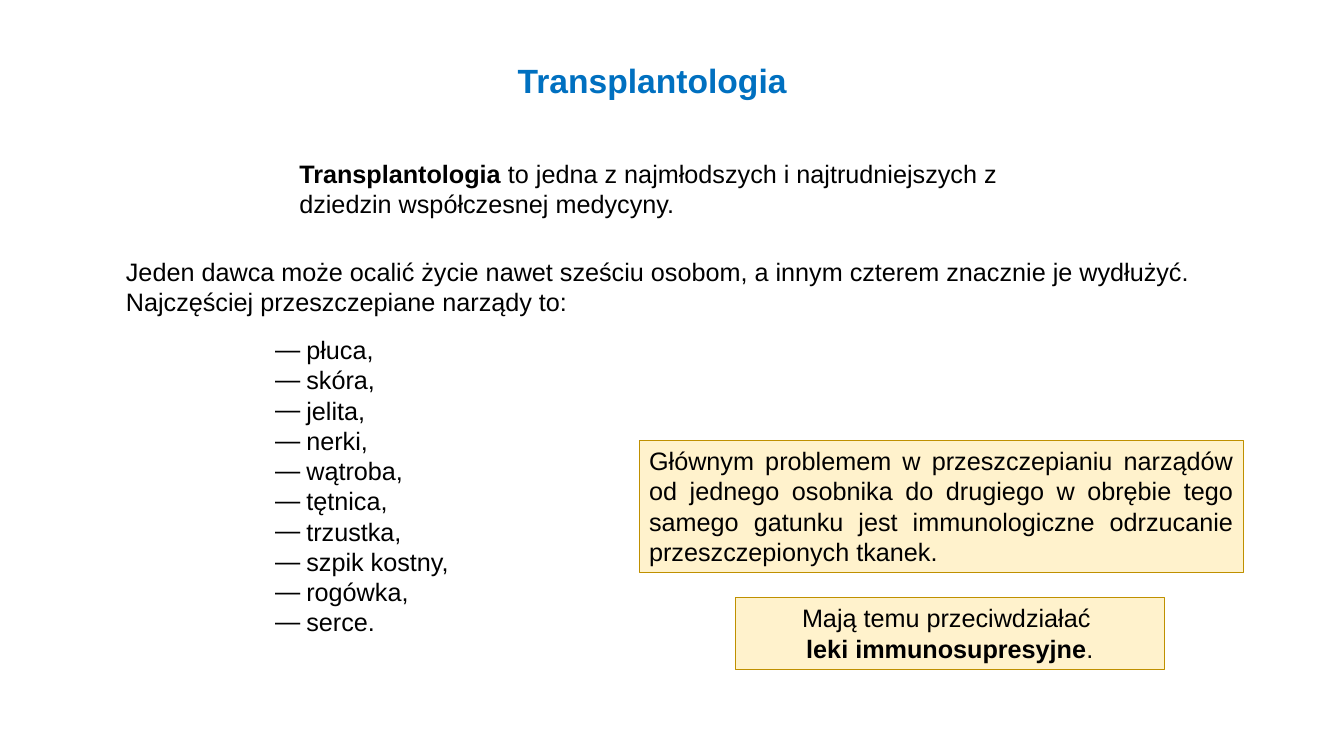
import lxml.etree
import pptx
import pptx.dml.color
import pptx.enum.shapes
import pptx.enum.text
import pptx.oxml.ns
import pptx.util

WIDTH, HEIGHT = pptx.util.Inches(13.33), pptx.util.Inches(7.5)
BLACK = pptx.dml.color.RGBColor(0x00, 0x00, 0x00)
BLUE = pptx.dml.color.RGBColor(0x00, 0x70, 0xC0)
CREAM = pptx.dml.color.RGBColor(0xFF, 0xF2, 0xCC)
GOLD = pptx.dml.color.RGBColor(0xBF, 0x90, 0x00)
ALIGN = pptx.enum.text.PP_ALIGN
ORGANS = ["płuca,", "skóra,", "jelita,", "nerki,", "wątroba,", "tętnica,",
          "trzustka,", "szpik kostny,", "rogówka,", "serce."]


def place(left, top, width, height):
    """Turn percentages of the slide's size into lengths."""
    return [round(share * side / 100) for share, side in
            zip((left, top, width, height), (WIDTH, HEIGHT, WIDTH, HEIGHT))]


def add_bullet(paragraph, character, indent=pptx.util.Inches(0.31)):
    """Give a paragraph a hanging bullet."""
    properties = paragraph._p.get_or_add_pPr()
    properties.set("marL", str(indent))
    properties.set("indent", str(-indent))
    for tag, name, value in (("a:buFont", "typeface", "Arial"),
                             ("a:buChar", "char", character)):
        lxml.etree.SubElement(properties, pptx.oxml.ns.qn(tag)).set(name, value)


def write(shape, paragraphs, size=18, color=BLACK, align=ALIGN.LEFT, bullet=None):
    """Fill a shape with paragraphs, each a list of (text, bold) runs."""
    frame = shape.text_frame
    frame.word_wrap = True
    frame.vertical_anchor = pptx.enum.text.MSO_ANCHOR.TOP
    for index, runs in enumerate(paragraphs):
        paragraph = frame.add_paragraph() if index else frame.paragraphs[0]
        paragraph.alignment = align
        if bullet:
            add_bullet(paragraph, bullet)
        for text, bold in runs:
            run = paragraph.add_run()
            run.text = text
            run.font.name = "Arial"
            run.font.size = pptx.util.Pt(size)
            run.font.bold = bold
            run.font.color.rgb = color


def add_text(slide, position, paragraphs, **formatting):
    """Add a plain text box."""
    write(slide.shapes.add_textbox(*place(*position)), paragraphs, **formatting)


def add_note(slide, position, paragraphs, **formatting):
    """Add a framed cream box with text."""
    shape = slide.shapes.add_shape(
        pptx.enum.shapes.MSO_SHAPE.RECTANGLE, *place(*position))
    shape.shadow.inherit = False
    shape.fill.solid()
    shape.fill.fore_color.rgb = CREAM
    shape.line.color.rgb = GOLD
    shape.line.width = pptx.util.Pt(0.75)
    write(shape, paragraphs, **formatting)


def main():
    """Build the slide and save it."""
    presentation = pptx.Presentation()
    presentation.slide_width, presentation.slide_height = WIDTH, HEIGHT
    slide = presentation.slides.add_slide(presentation.slide_layouts[6])
    add_text(slide, (21.53, 20.27, 54, 9.47), [[
        ("Transplantologia ", True),
        ("to jedna z najmłodszych i najtrudniejszych z dziedzin "
         "współczesnej medycyny.", False)]])
    add_text(slide, (8.63, 33.2, 80.87, 9.47), [
        [("Jeden dawca może ocalić życie nawet sześciu osobom, "
          "a innym czterem znacznie je wydłużyć.", False)],
        [("Najczęściej przeszczepiane narządy to:", False)]])
    add_text(slide, (12.53, 7.2, 72, 6.67), [[("Transplantologia", True)]],
             size=24, color=BLUE, align=ALIGN.CENTER)
    add_text(slide, (19.73, 43.6, 16.43, 41.73),
             [[(organ, False)] for organ in ORGANS], bullet="―")
    add_note(slide, (47.56, 58.27, 44.94, 17.47), [[
        ("Głównym problemem w przeszczepianiu narządów od jednego osobnika "
         "do drugiego w obrębie tego samego gatunku jest immunologiczne "
         "odrzucanie przeszczepionych tkanek.", False)]], align=ALIGN.JUSTIFY)
    add_note(slide, (54.69, 79.07, 31.96, 9.47), [
        [("Mają temu przeciwdziałać ", False)],
        [("leki immunosupresyjne", True), (".", False)]], align=ALIGN.CENTER)
    presentation.save("out.pptx")


main()
